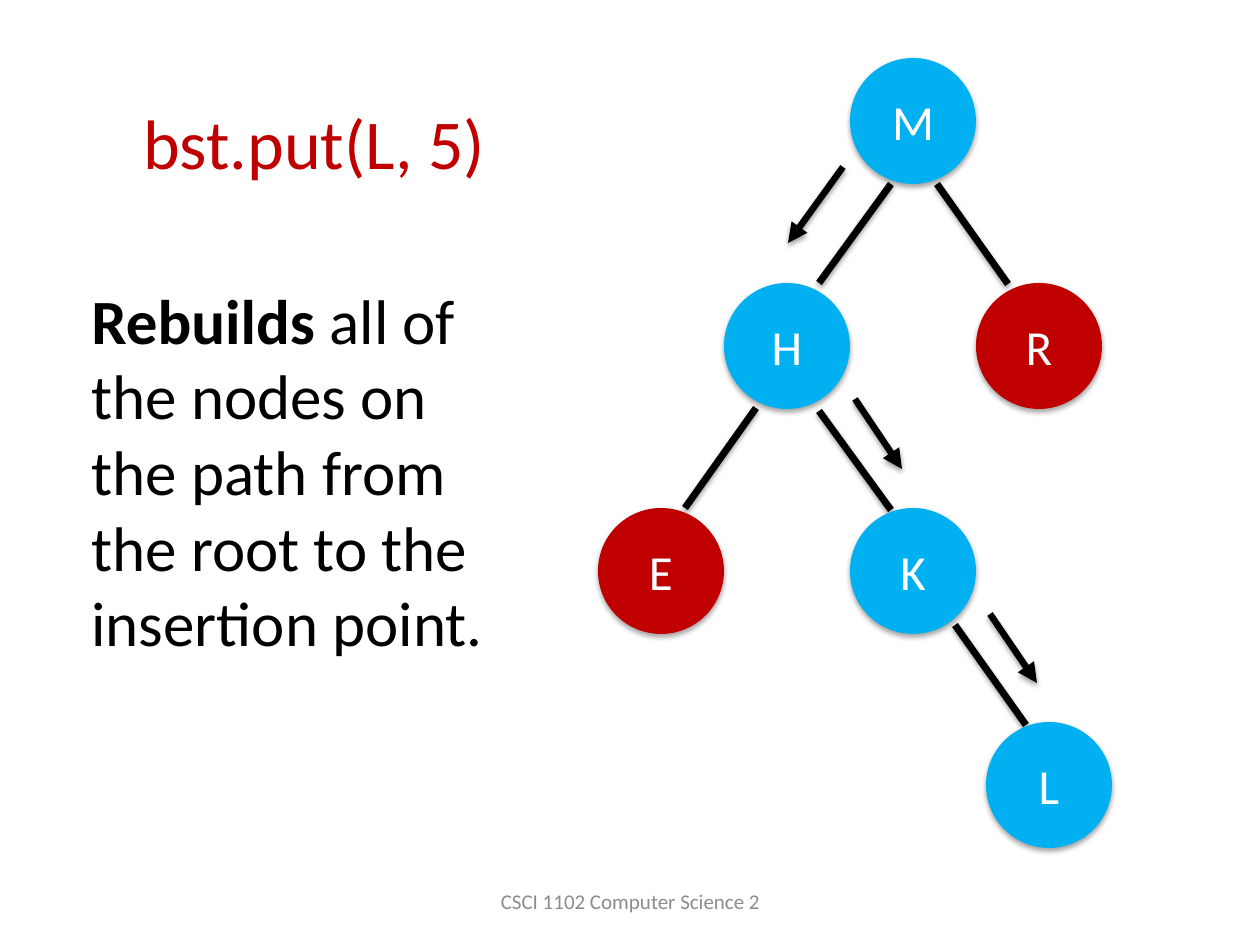
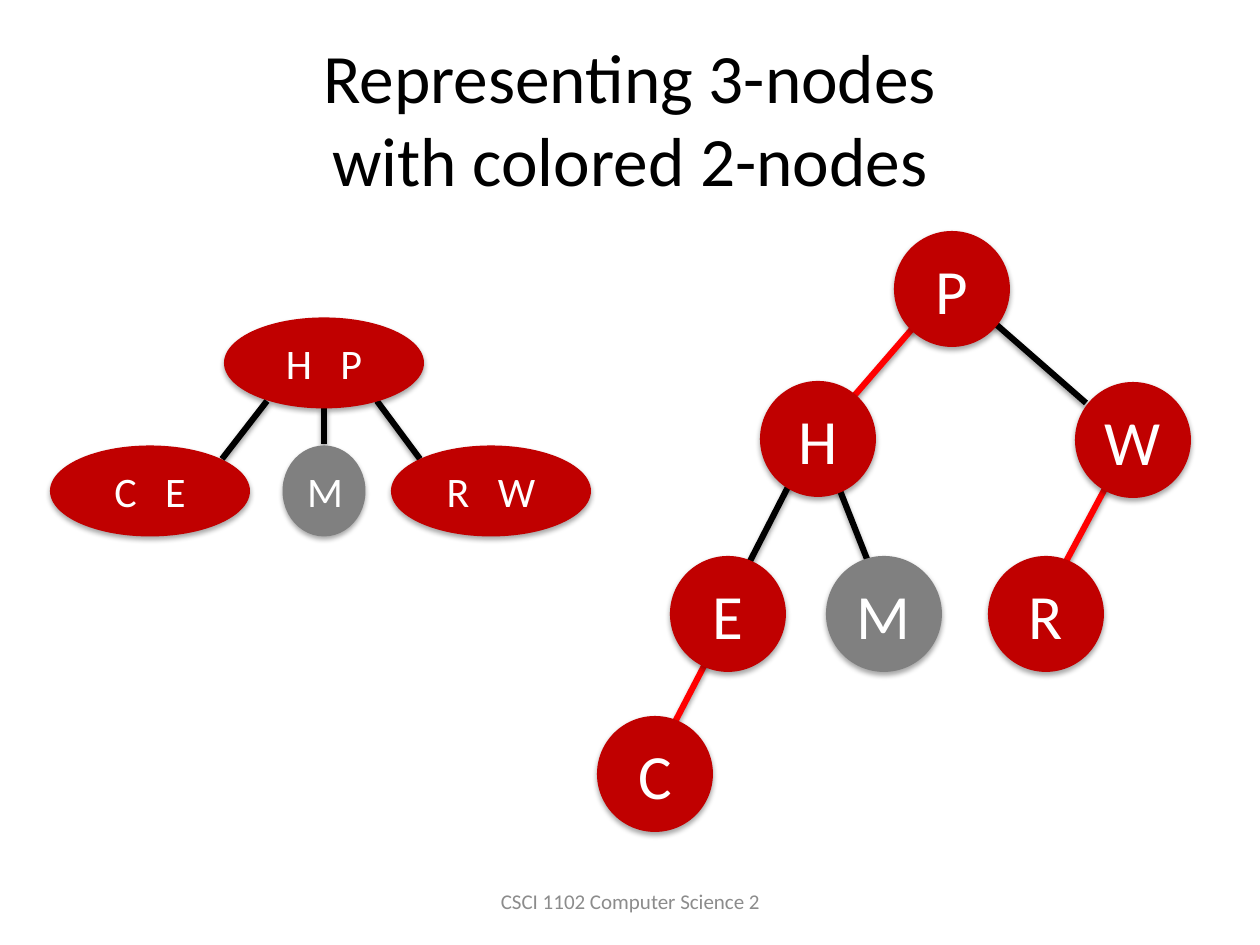
from lxml import etree
from pptx import Presentation
from pptx.dml.color import RGBColor
from pptx.enum.shapes import MSO_CONNECTOR, MSO_SHAPE
from pptx.enum.text import MSO_ANCHOR, PP_ALIGN
from pptx.oxml.ns import qn
from pptx.util import Emu, Pt

OVAL, LINE = MSO_SHAPE.OVAL, MSO_CONNECTOR.STRAIGHT
MIDDLE, TOP = MSO_ANCHOR.MIDDLE, MSO_ANCHOR.TOP
CENTER, LEFT = PP_ALIGN.CENTER, PP_ALIGN.LEFT

BLACK = RGBColor(0x00, 0x00, 0x00)
WHITE = RGBColor(0xFF, 0xFF, 0xFF)
GRAY = RGBColor(0x80, 0x80, 0x80)
FOOTER_GRAY = RGBColor(0x8C, 0x8C, 0x8C)
BLUE = RGBColor(0x00, 0xB0, 0xF0)
DARK_RED = RGBColor(0xC0, 0x00, 0x00)
LINK_RED = RGBColor(0xFF, 0x00, 0x00)

FONT = "Calibri"
EMU_PER_PX = 914400 / 126
FOOTER = "CSCI 1102 Computer Science 2"
NODE_SHADOW = (35, 1.8)
EDGE_SHADOW = (38, 1.6)
WIDE_GAP = 1085

PUT_CALL = "bst.put(L, 5)"
REBUILD_NOTE = [
    ("Rebuilds", True),
    (" all of the nodes on the path from the root to the insertion point.", False),
]
PUT_NODES = [
    ("M", 913, 121, BLUE), ("H", 787, 346, BLUE), ("E", 661, 571, DARK_RED),
    ("R", 1039, 346, DARK_RED), ("K", 913, 571, BLUE), ("L", 1049, 785, BLUE),
]
PUT_EDGES = [
    (891, 184, 819, 283), (756, 408, 685, 508), (819, 411, 891, 510),
    (937, 184, 1008, 284), (955, 625, 1026, 725),
]
PUT_STEPS = [(843, 167, 788, 243), (855, 399, 902, 469), (990, 614, 1037, 683)]

TITLE = "Representing 3-nodes\nwith colored 2-nodes"
COLORED_NODES = [
    ("M", 884, 614, GRAY), ("E", 728, 614, DARK_RED), ("R", 1046, 614, DARK_RED),
    ("P", 952, 289, DARK_RED), ("H", 818, 439, DARK_RED),
    ("W", 1133, 440, DARK_RED), ("C", 655, 774, DARK_RED),
]
COLORED_EDGES = [
    (1131, 440, 1038, 614, LINK_RED), (822, 445, 888, 612, BLACK),
    (810, 444, 723, 614, BLACK), (731, 614, 648, 774, LINK_RED),
    (974, 305, 1086, 403, BLACK), (951, 284, 816, 440, LINK_RED),
]
THREE_NODES = [
    ("M", 324, 491, 83, GRAY), ("H P", 324, 363, 200, DARK_RED),
    ("R W", 491, 491, 200, DARK_RED), ("C E", 150, 491, 200, DARK_RED),
]
THREE_NODE_EDGES = [
    (267, 401, 222, 459), (377, 401, 420, 459), (324, 408, 324, 444),
]


def px(*lengths):
    return [Emu(round(length * EMU_PER_PX)) for length in lengths]


def set_font(paragraph, size, color):
    paragraph.font.name = FONT
    paragraph.font.size = Pt(size)
    paragraph.font.color.rgb = color


def add_shadow(shape, opacity, distance):
    effects = etree.SubElement(shape._element.spPr, qn("a:effectLst"))
    shadow = etree.SubElement(
        effects, qn("a:outerShdw"), blurRad=str(Pt(3.1)), dist=str(Pt(distance)),
        dir="5400000", rotWithShape="0")
    shade = etree.SubElement(shadow, qn("a:srgbClr"), val=str(BLACK))
    etree.SubElement(shade, qn("a:alpha"), val=str(opacity * 1000))


def add_text(page, bounds, runs, size, color, align=LEFT, anchor=TOP, wrap=True):
    box = page.shapes.add_textbox(*px(*bounds))
    frame = box.text_frame
    frame.word_wrap = wrap
    frame.vertical_anchor = anchor
    para = frame.paragraphs[0]
    para.alignment = align
    if isinstance(runs, str):
        para.text = runs
    else:
        for text, bold in runs:
            span = para.add_run()
            span.text = text
            span.font.bold = bold
    set_font(para, size, color)


def add_node(page, label, center_x, center_y, width, height, fill, size):
    node = page.shapes.add_shape(
        OVAL, *px(center_x - width / 2, center_y - height / 2, width, height))
    node.fill.solid()
    node.fill.fore_color.rgb = fill
    node.line.fill.background()
    add_shadow(node, *NODE_SHADOW)
    node.text_frame.vertical_anchor = MIDDLE
    para = node.text_frame.paragraphs[0]
    para.alignment = CENTER
    for letter in label:
        span = para.add_run()
        span.text = letter
        if letter == " ":
            span.font._element.set("spc", str(WIDE_GAP))
    set_font(para, size, WHITE)


def add_edge(page, ends, width, color=BLACK, arrow=False):
    edge = page.shapes.add_connector(LINE, *px(*ends))
    edge.line.width = Pt(width)
    edge.line.color.rgb = color
    if arrow:
        etree.SubElement(edge._element.spPr.find(qn("a:ln")), qn("a:tailEnd"),
                         type="triangle")
    add_shadow(edge, *EDGE_SHADOW)


def add_page(deck):
    page = deck.slides.add_slide(deck.slide_layouts[6])
    add_text(page, (431, 876, 399, 50), FOOTER, 12, FOOTER_GRAY, CENTER, MIDDLE)
    return page


def build_put_page(deck):
    page = add_page(deck)
    add_text(page, (131, 93, 370, 97), PUT_CALL, 40, DARK_RED, wrap=False)
    add_text(page, (79, 275, 445, 394), REBUILD_NOTE, 36, BLACK)
    for ends in PUT_EDGES:
        add_edge(page, ends, 4)
    for ends in PUT_STEPS:
        add_edge(page, ends, 3.75, arrow=True)
    for label, x, y, fill in PUT_NODES:
        add_node(page, label, x, y, 126, 126, fill, 28)


def build_three_node_page(deck):
    page = add_page(deck)
    add_text(page, (63, 38, 1134, 158), TITLE, 39.6, BLACK, CENTER, MIDDLE)
    for *ends, color in COLORED_EDGES:
        add_edge(page, ends, 3.5, color)
    for ends in THREE_NODE_EDGES:
        add_edge(page, ends, 3.5)
    for label, x, y, width, fill in THREE_NODES:
        add_node(page, label, x, y, width, 91, fill, 24)
    for label, x, y, fill in COLORED_NODES:
        add_node(page, label, x, y, 116, 116, fill, 36)


def main():
    deck = Presentation()
    deck.slide_width, deck.slide_height = px(1260, 945)
    build_put_page(deck)
    build_three_node_page(deck)
    deck.save("out.pptx")


if __name__ == "__main__":
    main()
